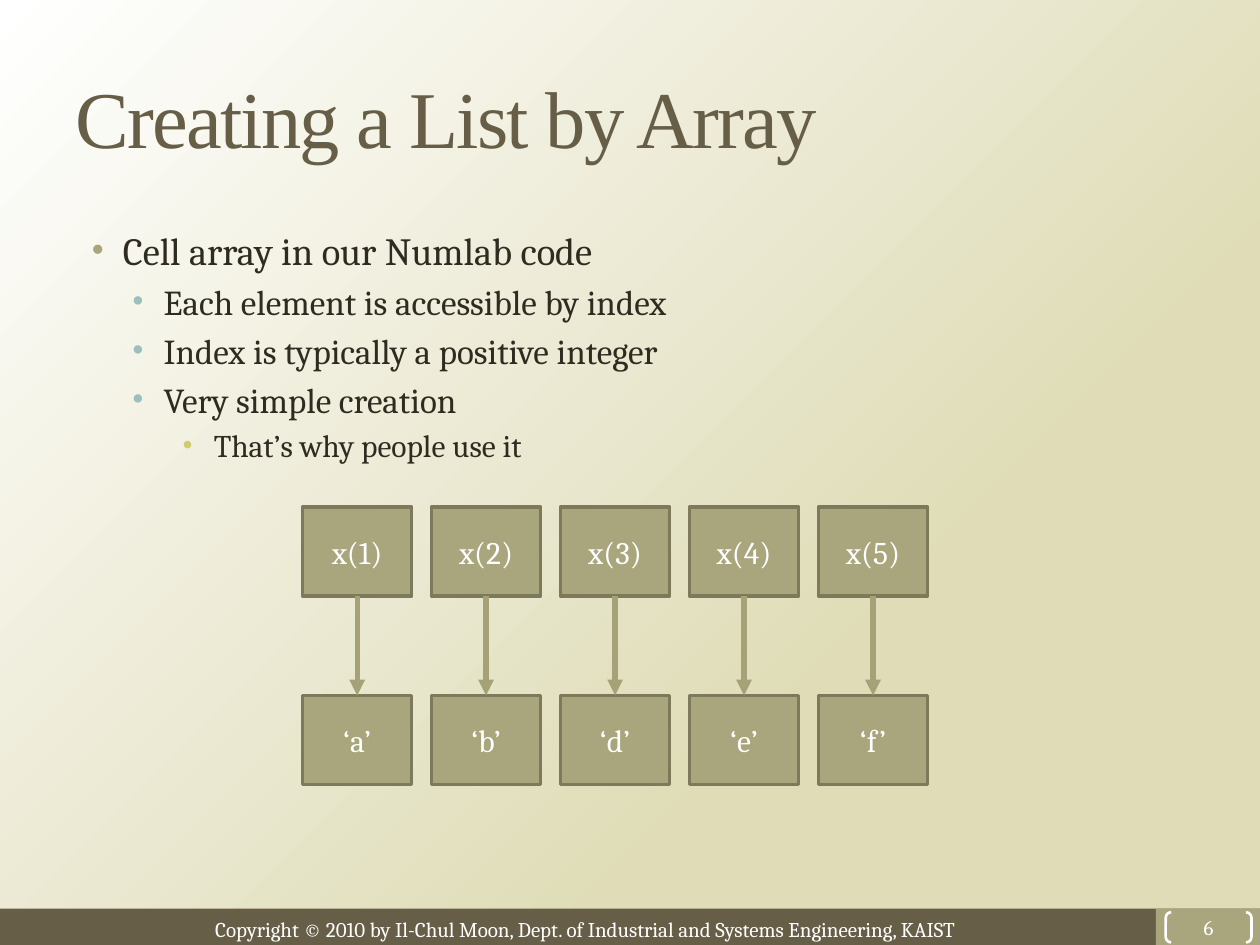
import pptx
import pptx.dml.color
import pptx.enum.shapes
import pptx.enum.text
import pptx.oxml.ns
import pptx.util
import lxml.etree

Cm = pptx.util.Cm
Pt = pptx.util.Pt
RGB = pptx.dml.color.RGBColor
Shape = pptx.enum.shapes.MSO_SHAPE
Anchor = pptx.enum.text.MSO_ANCHOR
Align = pptx.enum.text.PP_ALIGN
qn = pptx.oxml.ns.qn

WHITE = RGB(0xFF, 0xFF, 0xFF)
SAND = RGB(0xDF, 0xDC, 0xB7)
BROWN = RGB(0x67, 0x5E, 0x47)
OLIVE = RGB(0xA9, 0xA5, 0x7C)
EDGE = RGB(0x7D, 0x7A, 0x5C)
ARROW = RGB(0xA6, 0xA2, 0x78)
INK = RGB(0x2F, 0x2B, 0x20)
TEAL = RGB(0x9C, 0xBE, 0xBD)
GOLD = RGB(0xD2, 0xCB, 0x6C)

LEVELS = [(22, 0.96, OLIVE), (20, 1.78, TEAL), (18, 2.79, GOLD)]
POINTS = [
    (0, "Cell array in our Numlab code"),
    (1, "Each element is accessible by index"),
    (1, "Index is typically a positive integer"),
    (1, "Very simple creation"),
    (2, "That’s why people use it"),
]
VALUES = ["‘a’", "‘b’", "‘d’", "‘e’", "‘f’"]


class Deck:
    face = "Cambria"
    serif = "Times New Roman"

    def __init__(self):
        self.file = pptx.Presentation()
        self.file.slide_width = Cm(25.4)
        self.file.slide_height = Cm(19.05)
        self.slide = self.file.slides.add_slide(self.file.slide_layouts[6])
        self.shapes = self.slide.shapes

    def backdrop(self):
        fill = self.slide.background.fill
        fill.gradient()
        fill.gradient_angle = 135
        for stop, place, color in zip(fill.gradient_stops, (0.31, 1), (SAND, WHITE)):
            stop.position = place
            stop.color.rgb = color

    def font(self, para, size, color, face=None):
        para.font.name = face or self.face
        para.font.size = Pt(size)
        para.font.color.rgb = color

    def frame(self, area, wrap=True):
        frame = self.shapes.add_textbox(*map(Cm, area)).text_frame
        frame.word_wrap = wrap
        return frame

    def title(self, area, words):
        frame = self.frame(area)
        frame.vertical_anchor = Anchor.MIDDLE
        para = frame.paragraphs[0]
        para.text = words
        self.font(para, 46, BROWN, self.serif)
        para.runs[0]._r.get_or_add_rPr().set("spc", "-100")

    def footer(self, area, words):
        para = self.frame(area, wrap=False).paragraphs[0]
        para.text = words
        self.font(para, 12, WHITE)

    def bullets(self, area, points):
        frame = self.frame(area)
        for i, (level, words) in enumerate(points):
            para = frame.add_paragraph() if i else frame.paragraphs[0]
            size, indent, color = LEVELS[level]
            para.text = words
            para.level = level
            if i:
                para.space_before = Pt(size * 0.2)
            props = para._p.get_or_add_pPr()
            props.set("marL", str(Cm(indent)))
            props.set("indent", str(Cm(-0.64)))
            tint = lxml.etree.SubElement(props, qn("a:buClr"))
            lxml.etree.SubElement(tint, qn("a:srgbClr"), val=str(color))
            lxml.etree.SubElement(props, qn("a:buFont"), typeface=self.serif)
            lxml.etree.SubElement(props, qn("a:buChar"), char="•")
            self.font(para, size, INK)

    def box(self, area, words="", size=18, fill=OLIVE, line=None, width=2, kind=Shape.RECTANGLE):
        shape = self.shapes.add_shape(kind, *map(Cm, area))
        shape.shadow.inherit = False
        if fill is None:
            shape.fill.background()
        else:
            shape.fill.solid()
            shape.fill.fore_color.rgb = fill
        if line is None:
            shape.line.fill.background()
        else:
            shape.line.color.rgb = line
            shape.line.width = Pt(width)
        if words:
            frame = shape.text_frame
            frame.vertical_anchor = Anchor.MIDDLE
            para = frame.paragraphs[0]
            para.text = words
            para.alignment = Align.CENTER
            self.font(para, size, WHITE)
        return shape

    def arrow(self, top, low):
        kind = pptx.enum.shapes.MSO_CONNECTOR.STRAIGHT
        link = self.shapes.add_connector(kind, 0, 0, 0, 0)
        link.begin_connect(top, 2)
        link.end_connect(low, 0)
        link.line.color.rgb = ARROW
        link.line.width = Pt(3)
        props = link._element.spPr
        lxml.etree.SubElement(props.find(qn("a:ln")), qn("a:tailEnd"), type="triangle")
        lxml.etree.SubElement(props, qn("a:effectLst"))

    def badge(self, area, words):
        shape = self.box(area, words, 12, None, WHITE, 1.5, Shape.DOUBLE_BRACKET)
        shape.adjustments[0] = 0.18
        frame = shape.text_frame
        frame.margin_left = frame.margin_right = 0
        frame.margin_top = frame.margin_bottom = 0


def main():
    deck = Deck()
    deck.backdrop()
    deck.box((0, 18.32, 25.4, 0.73), fill=BROWN)
    deck.box((23.3, 18.32, 2.1, 0.73))
    deck.footer(
        (4.09, 18.36, 16.28, 0.76),
        "Copyright © 2010 by Il-Chul Moon, Dept. of Industrial and Systems Engineering, KAIST",
    )
    deck.title((1.27, 0.78, 23.42, 3.15), "Creating a List by Array")
    deck.bullets((1.27, 4.45, 23.42, 6.68), POINTS)
    deck.badge((23.5, 18.39, 1.73, 0.61), "6")
    for i, value in enumerate(VALUES):
        left = 6.1 + 2.6 * i
        low = deck.box((left, 14.02, 2.2, 1.8), value, line=EDGE)
        top = deck.box((left, 10.22, 2.2, 1.8), f"x({i + 1})", line=EDGE)
        deck.arrow(top, low)
    deck.file.save("out.pptx")


if __name__ == "__main__":
    main()
